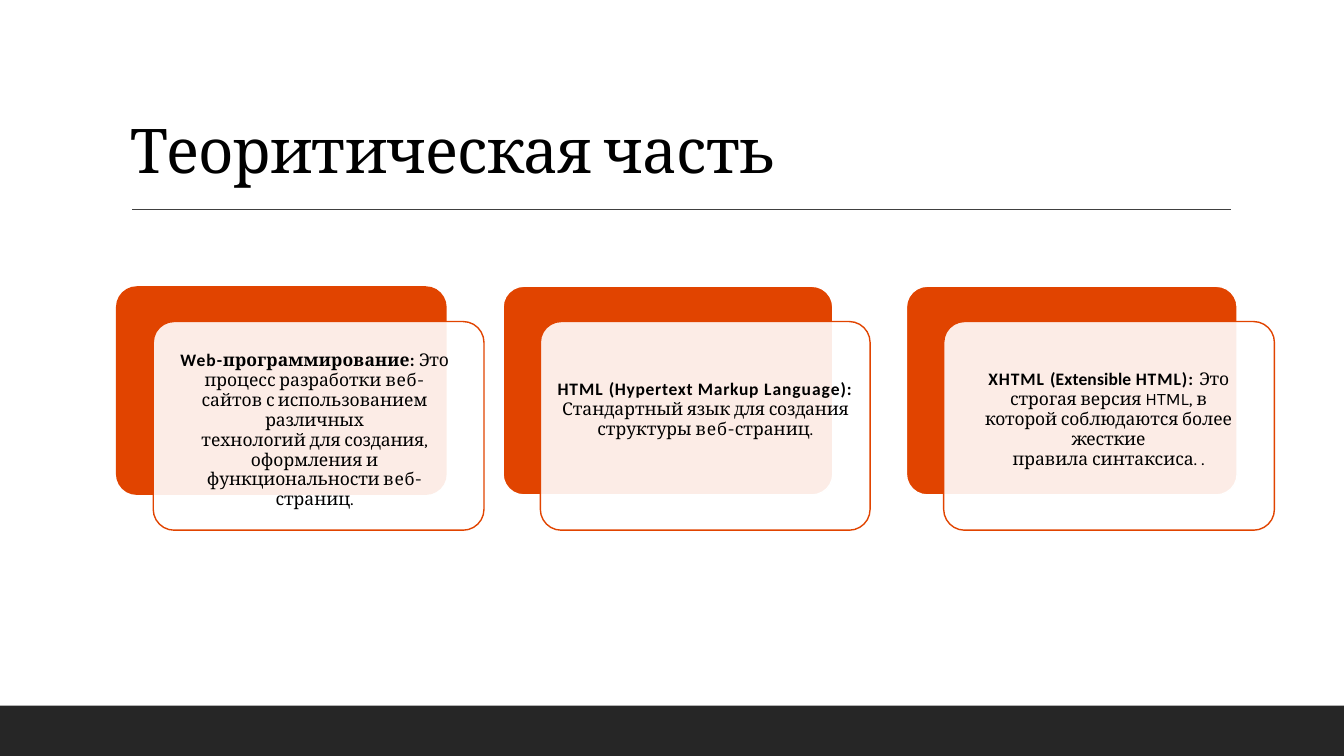
from pptx import Presentation
from pptx import util as u
from pptx.dml.color import RGBColor
from pptx.enum import shapes, text
from pptx.oxml.xmlchemy import OxmlElement

ORANGE, WHITE, BLACK = "E14400", "FFFFFF", "000000"
HEAD, BODY, SIGN = "Calibri", "Cambria", "Karla"
CARD_TOP, CARD_HEIGHT, CARD_SHIFT = 2.84, 2.07, (0.37, 0.35)

# Card: left, width, white rim, text box (left, top, width, height), paragraphs.
# Paragraph: side margin, line spacing, runs of (text, font, letter spacing, bold).
CARDS = [
    (1.15, 3.28, False, (1.69, 3.45, 2.86, 1.21), [
        (0.06, 0.95, [
            ("Web-", HEAD, 0.7, True), ("программирование", BODY, 0.1, True),
            (": ", HEAD, 0.1, True), ("Это ", BODY, -0.2, False),
            ("процесс разработки ", BODY, 0, False), ("веб", BODY, 0.5, False),
            ("-", SIGN, 0.5, False), ("сайтов ", BODY, 0, False),
            ("с ", BODY, -0.5, False), ("использованием ", BODY, 0, False),
            ("различных", BODY, -0.1, False)]),
        (0.01, 0.93, [
            ("технологий для ", BODY, 0, False), ("создания", BODY, -0.1, False),
            (", ", SIGN, -0.1, False), ("оформления и ", BODY, 0, False),
            ("функциональности ", BODY, -0.1, False), ("веб", BODY, 0.5, False),
            ("-", SIGN, 0.5, False), ("страниц", BODY, 0, False),
            (".", SIGN, 0, False)])]),
    (4.99, 3.27, True, (5.48, 3.74, 3.03, 0.63), [
        (0.01, 0.95, [
            ("HTML ", HEAD, 0.7, True), ("(Hypertext Markup ", HEAD, 0.5, True),
            ("Language): ", HEAD, 0.7, True),
            ("Стандартный язык для ", BODY, 0, False),
            ("создания ", BODY, -0.1, False), ("структуры ", BODY, 0, False),
            ("веб", BODY, 0.6, False), ("-", SIGN, 0.6, False),
            ("страниц", BODY, 0, False), (".", SIGN, 0, False)])]),
    (8.99, 3.28, True, (9.48, 3.64, 3.03, 0.82), [
        (0.18, 0.95, [
            ("XHTML ", HEAD, 0.7, True), ("(Extensible ", HEAD, 0.1, True),
            ("HTML): ", HEAD, 0.7, True), ("Это ", BODY, -0.2, False),
            ("строгая версия ", BODY, 0, False), ("HTML, ", SIGN, 0, False),
            ("в ", BODY, 0, False), ("которой ", BODY, -0.1, False),
            ("соблюдаются более ", BODY, 0, False),
            ("жесткие", BODY, -0.1, False)]),
        (0.01, 0.93, [
            ("правила синтаксиса", BODY, 0, False), (". ", SIGN, 0, False),
            (".", SIGN, -0.1, False)])]),
]


def color(value):
    return RGBColor.from_string(value)


def inches(*lengths):
    return [u.Inches(length) for length in lengths]


def add_panel(page, kind, box, fill, line=None):
    panel = page.shapes.add_shape(kind, *inches(*box))
    panel.shadow.inherit = False
    panel.fill.solid()
    panel.fill.fore_color.rgb = color(fill)
    if line:
        panel.line.color.rgb = color(line)
        panel.line.width = u.Pt(1)
    else:
        panel.line.fill.background()
    return panel


def set_opacity(panel, percent):
    alpha = OxmlElement("a:alpha")
    alpha.set("val", str(percent * 1000))
    panel.fill._xPr.find(".//{*}solidFill/{*}srgbClr").append(alpha)


def add_span(para, words, font, size, spacing, bold=False):
    span = para.add_run()
    span.text = words
    span.font.name = font
    span.font.size = u.Pt(size)
    span.font.bold = bold
    span.font.color.rgb = color(BLACK)
    span.font._element.set("spc", str(round(spacing * 100)))


def add_heading(page, box):
    """Title above a rule that starts at the title text."""
    left, top, width, height = box
    frame = page.shapes.add_textbox(*inches(*box)).text_frame
    frame.word_wrap = True
    frame.vertical_anchor = text.MSO_ANCHOR.BOTTOM
    para = frame.paragraphs[0]
    para.line_spacing = 0.9
    add_span(para, "Теоритическая часть", BODY, 44, -0.5)

    rule_top = top + height + 0.18
    rule = page.shapes.add_connector(
        shapes.MSO_CONNECTOR.STRAIGHT,
        *inches(left + 0.11, rule_top, left + width + 0.01, rule_top))
    rule.line.color.rgb = color("404040")
    rule.line.width = u.Pt(1)
    rule._element.spPr.append(OxmlElement("a:effectLst"))


def add_card_text(page, box, paragraphs):
    frame = page.shapes.add_textbox(*inches(*box)).text_frame
    frame.word_wrap = True
    frame.auto_size = text.MSO_AUTO_SIZE.SHAPE_TO_FIT_TEXT
    frame.margin_left = frame.margin_right = frame.margin_bottom = 0
    frame.margin_top = u.Inches(0.03)
    for index, (margin, spacing, spans) in enumerate(paragraphs):
        para = frame.add_paragraph() if index else frame.paragraphs[0]
        para.alignment = text.PP_ALIGN.CENTER
        para.line_spacing = spacing
        if index:
            para.space_before = u.Pt(0.3)
        for side in ("marL", "marR"):
            para._p.get_or_add_pPr().set(side, str(u.Inches(margin)))
        for words, font, tracking, bold in spans:
            add_span(para, words, font, 12.5, tracking, bold)


def add_card(page, box, rim, text_box, paragraphs):
    """Orange panel with a translucent white panel shifted over it."""
    left, top, width, height = box
    rounded = shapes.MSO_SHAPE.ROUNDED_RECTANGLE
    back = add_panel(page, rounded, box, ORANGE, WHITE if rim else None)
    across, down = CARD_SHIFT
    front = add_panel(page, rounded, (left + across, top + down, width, height),
                      WHITE, ORANGE)
    set_opacity(front, 90)
    for panel in (back, front):
        panel.adjustments[0] = 0.1
    add_card_text(page, text_box, paragraphs)


def main():
    deck = Presentation()
    deck.slide_width, deck.slide_height = inches(13.33, 7.5)
    page = deck.slides.add_slide(deck.slide_layouts[6])
    add_panel(page, shapes.MSO_SHAPE.RECTANGLE, (0, 7, 13.33, 0.5), "262626")
    add_heading(page, (1.2, 0.31, 11, 1.59))
    for left, width, rim, text_box, paragraphs in CARDS:
        add_card(page, (left, CARD_TOP, width, CARD_HEIGHT), rim, text_box, paragraphs)
    deck.save("out.pptx")


if __name__ == "__main__":
    main()
